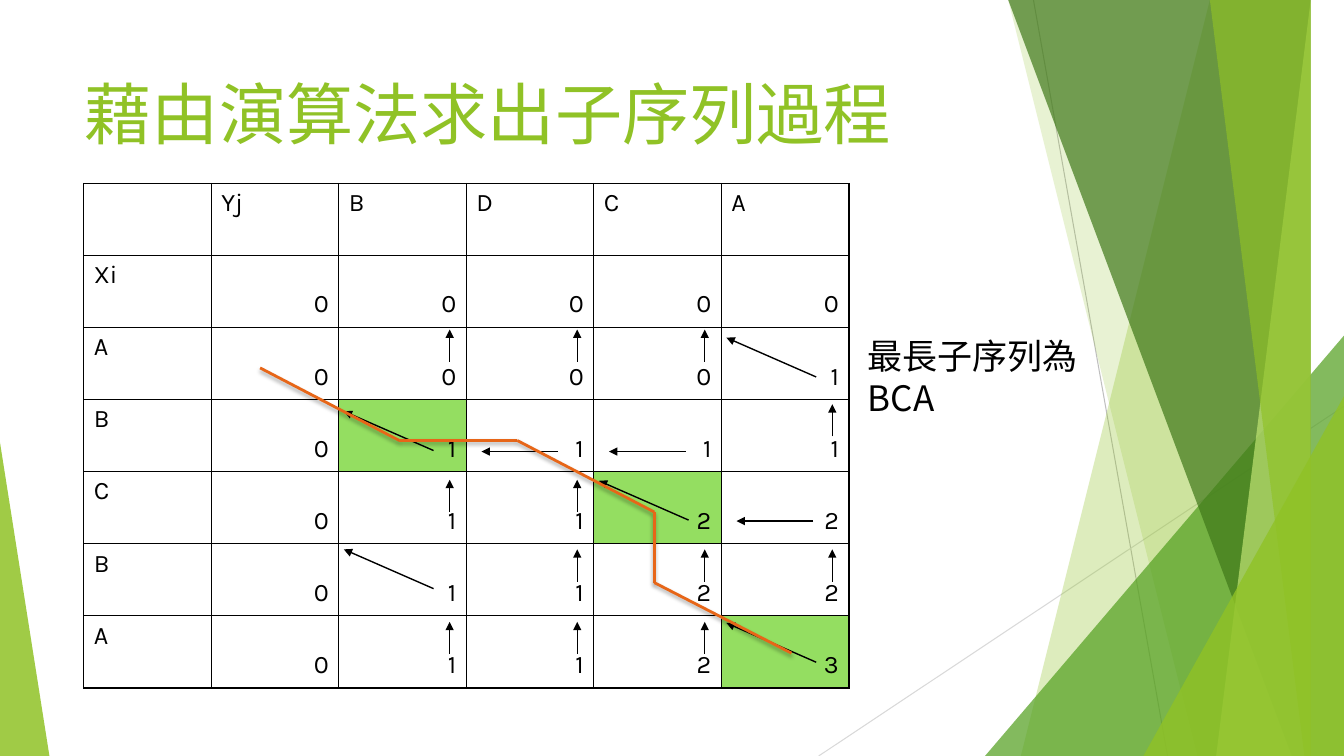
import itertools

import pptx
import pptx.dml.color
import pptx.enum.shapes
import pptx.enum.text
import pptx.oxml
import pptx.oxml.ns
import pptx.util

Inches = pptx.util.Inches
ALIGN = pptx.enum.text.PP_ALIGN
NS = pptx.oxml.ns.nsdecls("a")
CJK = "Noto Sans CJK SC"


def paint(fill, color, alpha=100):
    """Make a fill solid, with opacity in percent."""
    fill.solid()
    fill.fore_color.rgb = pptx.dml.color.RGBColor.from_string(color)
    if alpha < 100:
        color_node = fill._xPr.find(".//" + pptx.oxml.ns.qn("a:srgbClr"))
        color_node.append(pptx.oxml.parse_xml(f'<a:alpha {NS} val="{alpha * 1000}"/>'))


def write(frame, text, size=18, font="Karla", color="000000", align=ALIGN.LEFT):
    frame.text = text
    for paragraph in frame.paragraphs:
        paragraph.alignment = align
        for run in paragraph.runs:
            run.font.size = pptx.util.Pt(size)
            run.font.name = font
            paint(run.font.fill, color)
            run.font._element.append(pptx.oxml.parse_xml(f'<a:ea {NS} typeface="{font}"/>'))


deck = pptx.Presentation()
deck.slide_width, deck.slide_height = Inches(13.33), Inches(7.5)
slide = deck.slides.add_slide(deck.slide_layouts[5])
shapes = slide.shapes

# Each line: start, end, colour, width, arrowhead, shadow
backdrop_lines = [
    ((10.25, 0), (11.58, 7.5), "BFBFBF", 0.75, False, False),
    ((13.33, 4.03), (8.12, 7.5), "D9D9D9", 0.75, False, False),
]

# Bands: top left, bottom left; each reaches the right edge of the slide
bands = [
    ("band", (12.28, 10.04), "90C226", 30),
    ("band", (10.5, 11.83), "90C226", 20),
    ("triangle", (9.77, 3.33, 3.56, 4.17, 1), "54A021", 72),
    ("band", (10.21, 12.91), "3F7819", 70),
    ("band", (13.03, 11.92), "C0E474", 70),
    ("band", (11.96, 13.18), "90C226", 65),
    ("triangle", (11.34, 3.93, 1.99, 3.57, 1), "90C226", 80),
    ("triangle", (0, 4.39, 0.49, 3.11, 0), "90C226", 85),
]

# Traceback arrows: row of the table, tip of up arrows, tip of diagonal arrows, directions
traceback = [
    (3.27, 3.35, "↑↑↑↖"),
    (4.01, 4.08, "↖←←↑"),
    (4.76, 4.77, "↑↑↖←"),
    (5.45, 5.45, "↖↑↑↑"),
    (6.17, 6.18, "↑↑↑↖"),
]
TABLE_LEFT, TABLE_TOP, COLUMN, ROW = 0.83, 1.82, 1.265, 0.715
arrows = []
for up_tip, diagonal_tip, directions in traceback:
    for column, direction in enumerate(directions, start=2):
        left = TABLE_LEFT + column * COLUMN
        if direction == "↑":
            start, end = (left + 1.1, up_tip + 0.32), (left + 1.1, up_tip)
        elif direction == "↖":
            start, end = (left + 0.94, diagonal_tip + 0.39), (left + 0.05, diagonal_tip)
        else:
            start, end = (left + 0.91, diagonal_tip + 0.4), (left + 0.15, diagonal_tip + 0.4)
        arrows.append((start, end, "000000", 1, True, False))

route = [(2.58, 3.65), (3.96, 4.37), (5.13, 4.37), (6.49, 5.08), (6.49, 5.78), (7.85, 6.48)]
route_lines = [(start, end, "E76618", 2, False, True) for start, end in itertools.pairwise(route)]

# Backdrop shapes
for kind, geometry, color, alpha in bands:
    if kind == "band":
        top_left, bottom_left = geometry
        outline = shapes.build_freeform(top_left, -0.01, scale=Inches(1))
        outline.add_line_segments([(13.33, -0.01), (13.33, 7.5), (bottom_left, 7.5)])
        panel = outline.convert_to_shape()
    else:
        *box, apex = geometry
        panel = shapes.add_shape(
            pptx.enum.shapes.MSO_SHAPE.ISOSCELES_TRIANGLE, *map(Inches, box))
        panel.adjustments[0] = apex
    paint(panel.fill, color, alpha)
    panel.line.fill.background()
    panel.shadow.inherit = False

# Title
title = shapes.title
title.left, title.top, title.width, title.height = map(Inches, (0.74, 0.67, 9.4, 1.44))
title.text_frame.vertical_anchor = pptx.enum.text.MSO_ANCHOR.TOP
write(title.text_frame, "藉由演算法求出子序列過程", size=48, font=CJK, color="90C226")

# Table of subsequence lengths
lengths = [
    ["", "Yj", "B", "D", "C", "A"],
    ["Xi", "0", "0", "0", "0", "0"],
    ["A", "0", "0", "0", "0", "1"],
    ["B", "0", "1", "1", "1", "1"],
    ["C", "0", "1", "1", "2", "2"],
    ["B", "0", "1", "1", "2", "2"],
    ["A", "0", "1", "1", "2", "3"],
]
matches = {(3, 2), (4, 4), (6, 5)}
table = shapes.add_table(
    7, 6, Inches(TABLE_LEFT), Inches(TABLE_TOP), Inches(6 * COLUMN), Inches(7 * ROW)).table
table.first_row = table.horz_banding = False
for column in table.columns:
    column.width = Inches(COLUMN)
for r, values in enumerate(lengths):
    table.rows[r].height = Inches(ROW)
    for c, value in enumerate(values):
        cell = table.cell(r, c)
        if value.isdigit():
            cell.margin_top = Inches(0.34)
        write(cell.text_frame, value, align=ALIGN.RIGHT if value.isdigit() else ALIGN.LEFT)
        for side in ("lnL", "lnR", "lnT", "lnB"):
            cell._tc.get_or_add_tcPr().append(pptx.oxml.parse_xml(
                f'<a:{side} {NS} w="12700"><a:solidFill><a:srgbClr val="000000"/>'
                f'</a:solidFill></a:{side}>'))
        if (r, c) in matches:
            paint(cell.fill, "94DE61")
        else:
            cell.fill.background()

# Result
answer = shapes.add_textbox(Inches(8.51), Inches(3.27), Inches(2.72), Inches(0.94)).text_frame
answer.word_wrap = True
answer.auto_size = pptx.enum.text.MSO_AUTO_SIZE.SHAPE_TO_FIT_TEXT
write(answer, "最長子序列為\nBCA", size=25, font=CJK)

# Lines
SHADOW = ('<a:outerShdw blurRad="38100" dist="25400" dir="5400000" rotWithShape="0">'
          '<a:srgbClr val="000000"><a:alpha val="35000"/></a:srgbClr></a:outerShdw>')
first_panel = shapes[1]._element
for start, end, color, width, arrowhead, shadow in backdrop_lines + arrows + route_lines:
    connector = shapes.add_connector(
        pptx.enum.shapes.MSO_CONNECTOR.STRAIGHT, *map(Inches, start + end))
    connector.line.width = pptx.util.Pt(width)
    paint(connector.line.fill, color)
    if arrowhead:
        connector.line._get_or_add_ln().append(
            pptx.oxml.parse_xml(f'<a:tailEnd {NS} type="triangle"/>'))
    connector._element.spPr.append(pptx.oxml.parse_xml(
        f'<a:effectLst {NS}>{SHADOW if shadow else ""}</a:effectLst>'))
    if width < 1:
        first_panel.addprevious(connector._element)

deck.save("out.pptx")
